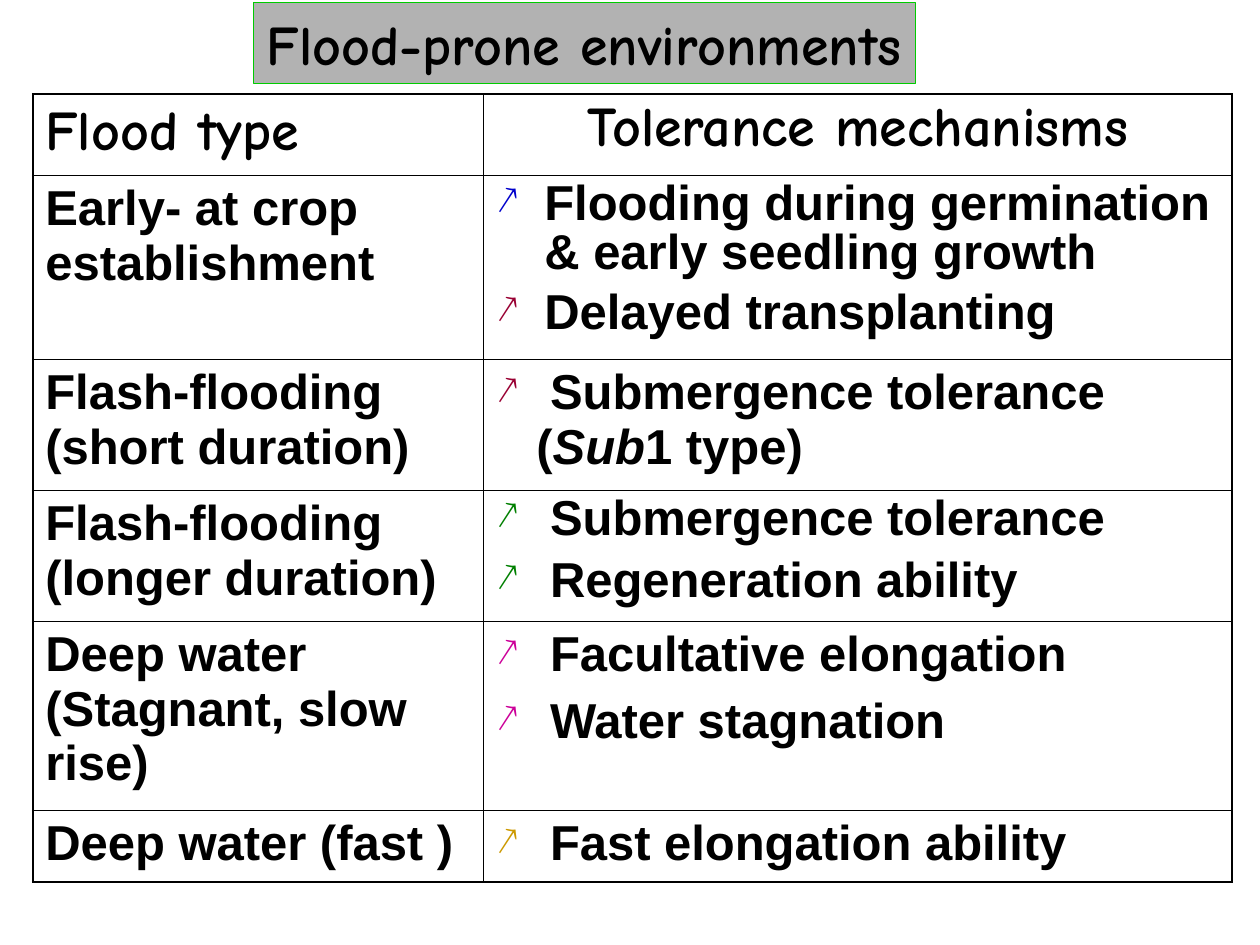
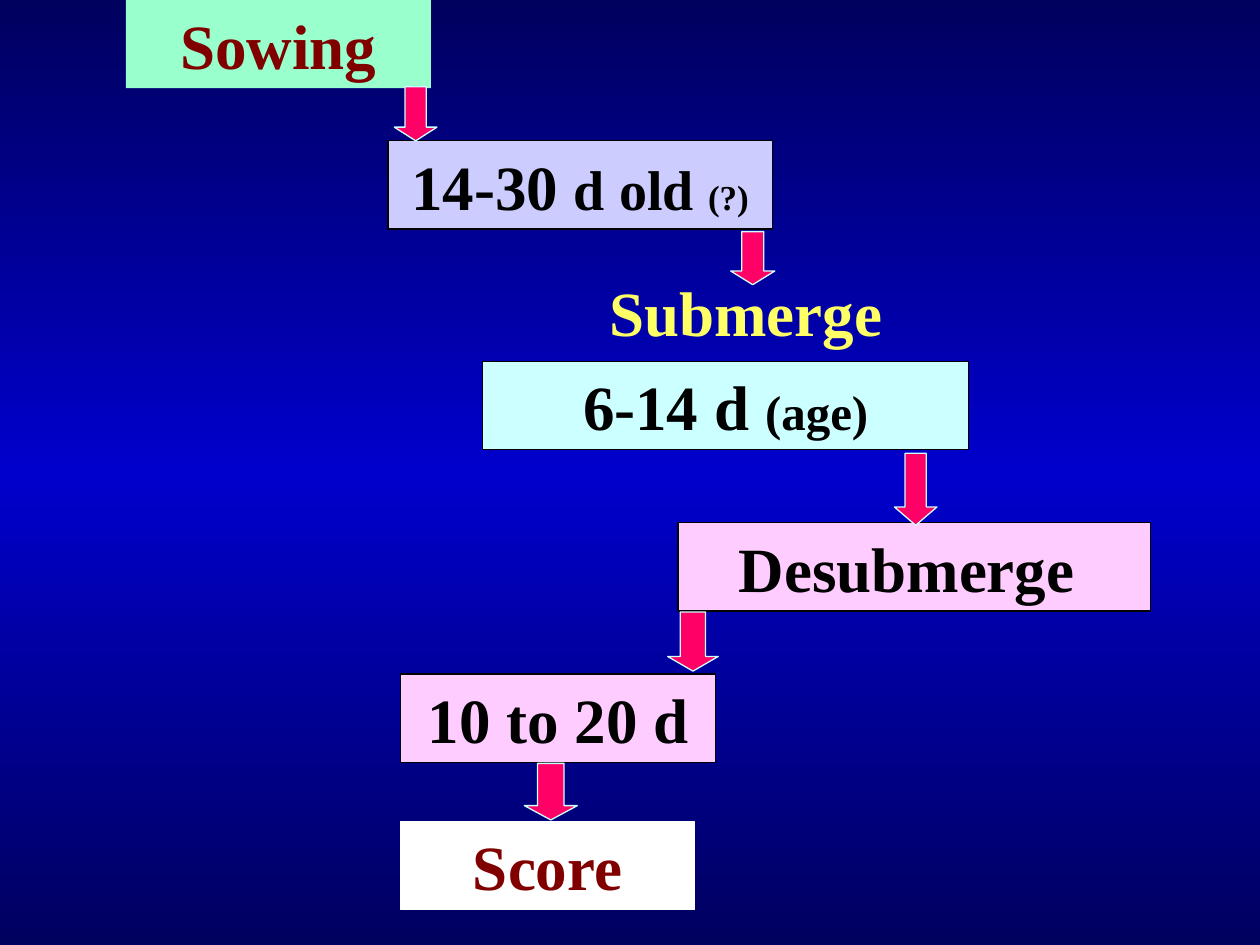
from copy import deepcopy
from dataclasses import dataclass

from lxml.etree import SubElement as Sub
from pptx import Presentation
from pptx.dml.color import RGBColor as RGB
from pptx.enum.shapes import MSO_SHAPE as SHAPE
from pptx.enum.text import MSO_ANCHOR as ANCHOR, MSO_AUTO_SIZE as AUTO, PP_ALIGN as ALIGN
from pptx.oxml.ns import qn
from pptx.util import Cm, Pt


@dataclass
class Theme:
    head: str = "Comic Neue"
    body: str = "Arial"
    flow: str = "Times New Roman"
    big: int = 36
    title: int = 32
    text: int = 28
    note: int = 20
    black: str = "000000"
    white: str = "FFFFFF"
    grey: str = "B2B2B2"
    green: str = "00CC00"
    maroon: str = "800000"
    yellow: str = "FFFF66"
    mint: str = "99FFCC"
    lilac: str = "CCCCFF"
    aqua: str = "CCFFFF"
    pink: str = "FFCCFF"
    arrow: str = "FF0066"
    navy: str = "00005E"
    blue: str = "0000CC"
    thin: float = 0.45
    line: float = 0.75
    thick: float = 1.08


T = Theme()


def write(par, parts, face, color=T.black):
    """Add bold runs; each part is (text, size) or (text, size, italic)."""
    for text, size, *slant in parts:
        run = par.add_run()
        run.text = text
        font = run.font
        font.name, font.size, font.bold = face, Pt(size), True
        font.color.rgb = RGB.from_string(color)
        if slant:
            font.italic = True


def paint(shape, fill, line):
    """Fill and outline a shape; None leaves that part out."""
    if fill:
        shape.fill.solid()
        shape.fill.fore_color.rgb = RGB.from_string(fill)
    if line:
        shape.line.color.rgb = RGB.from_string(line)
        shape.line.width = Pt(T.line)
    else:
        shape.line.fill.background()
    shape.shadow.inherit = False


prs = Presentation()
prs.slide_width, prs.slide_height = Cm(25.4), Cm(19.05)

# Slide 1: title
slide = prs.slides.add_slide(prs.slide_layouts[5])
title = slide.shapes.title
title.left, title.top, title.width, title.height = Cm(5.11), Cm(0.05), Cm(13.34), Cm(1.63)
paint(title, T.grey, T.green)
frame = title.text_frame
frame.auto_size, frame.word_wrap = AUTO.NONE, False
frame.vertical_anchor = ANCHOR.MIDDLE
write(frame.paragraphs[0], [("Flood-prone environments", T.title)], T.head)

# Slide 1: table rows as (flood type, height, bullets);
# a bullet is (parts, colour, indent, line spacing, space before)
size = T.text
floods = [
    ("Early- at crop establishment", 3.71, [
        ([("Flooding during germination & early seedling growth", size)], "0000CC", 0.97, 0.9, 0),
        ([("Delayed transplanting", size)], "990033", 0.97, 1.1, 0)]),
    ("Flash-flooding (short duration)", 2.64, [
        ([(" Submergence tolerance (", size), ("Sub", size, True), ("1 type)", size)],
         "990033", 0.81, 1.0, 0)]),
    ("Flash-flooding (longer duration)", 2.64, [
        ([(" Submergence tolerance", size)], "008000", 0.81, 0.9, 0),
        ([(" Regeneration ability", size)], "008000", 0.81, 0.9, 7)]),
    ("Deep water (Stagnant, slow rise)", 3.81, [
        ([(" Facultative elongation", size)], "CC0099", 0.81, 1.0, 0),
        ([(" Water stagnation", size)], "CC0099", 0.81, 1.0, 7)]),
    ("Deep water (fast )", 1.45, [
        ([(" Fast elongation ability", size)], "CC9900", 0.81, 1.0, 0)]),
]
rows = len(floods) + 1
table = slide.shapes.add_table(rows, 2, Cm(0.66), Cm(1.9), Cm(24.18), Cm(15.88)).table
table.first_row = table.horz_banding = False
table.columns[0].width, table.columns[1].width = Cm(9.09), Cm(15.09)

# Header row
table.rows[0].height = Cm(1.63)
write(table.cell(0, 0).text_frame.paragraphs[0], [("Flood type", T.title)], T.head)
par = table.cell(0, 1).text_frame.paragraphs[0]
par.alignment, par.line_spacing = ALIGN.CENTER, 0.9
write(par, [("Tolerance mechanisms", T.title)], T.head)

# Flood rows
for row, (kind, high, items) in enumerate(floods, 1):
    table.rows[row].height = Cm(high)
    write(table.cell(row, 0).text_frame.paragraphs[0], [(kind, size)], T.body)
    frame = table.cell(row, 1).text_frame
    for num, (parts, color, indent, lead, before) in enumerate(items):
        par = frame.add_paragraph() if num else frame.paragraphs[0]
        props = par._p.get_or_add_pPr()
        props.set("marL", str(Cm(indent)))
        props.set("indent", str(-Cm(indent)))
        Sub(Sub(props, qn("a:buClr")), qn("a:srgbClr"), val=color)
        Sub(props, qn("a:buSzPct"), val="80000")
        Sub(props, qn("a:buChar"), char="↗")
        par.line_spacing = lead
        if before:
            par.space_before = Pt(before)
        write(par, parts, T.body)

# Cell borders: thick round the outside, thin within
for row in range(rows):
    for col in range(2):
        cell = table.cell(row, col)
        props = cell._tc.get_or_add_tcPr()
        edges = [("L", col == 0), ("R", col == 1), ("T", row == 0), ("B", row == rows - 1)]
        for side, outer in edges:
            wide = Pt(T.thick if outer else T.thin)
            edge = Sub(props, qn(f"a:ln{side}"), w=str(wide))
            Sub(Sub(edge, qn("a:solidFill")), qn("a:srgbClr"), val=T.black)
        cell.fill.background()

# Slide 2: gradient background
slide = prs.slides.add_slide(prs.slide_layouts[6])
fill = slide.background.fill
fill.gradient()
fill.gradient_angle = 90
stops = next(slide.element.iter(qn("a:gsLst")))
stops.insert(1, deepcopy(stops[0]))
for stop, (place, color) in zip(fill.gradient_stops, [(0, T.navy), (0.5, T.blue), (1, T.navy)]):
    stop.position = place
    stop.color.rgb = RGB.from_string(color)

# Slide 2: steps as (left, top, width, fill, line, text colour, parts)
big = T.big
steps = [
    (2.54, 0, 6.15, T.mint, None, T.maroon, [("Sowing", big)]),
    (7.82, 2.84, 7.75, T.lilac, T.black, T.black,
     [("14-30 ", big), ("d old ", T.title), ("(?)", T.note)]),
    (11.15, 5.38, 7.77, None, None, T.yellow, [("Submerge", big)]),
    (9.73, 7.29, 9.8, T.aqua, T.black, T.black, [("6-14 d ", big), ("(age)", T.text)]),
    (13.67, 10.54, 9.53, T.pink, T.black, T.black, [("Desubmerge ", big)]),
    (8.08, 13.59, 6.35, T.pink, T.black, T.black, [("10 to 20 d", big)]),
    (8.08, 16.56, 5.92, T.white, T.white, T.maroon, [("Score", big)]),
]
for left, top, wide, back, line, color, parts in steps:
    spot = Cm(left), Cm(top), Cm(wide), Cm(1.78)
    if back:
        box = slide.shapes.add_shape(SHAPE.RECTANGLE, *spot)
        paint(box, back, line)
    else:
        box = slide.shapes.add_textbox(*spot)
    frame = box.text_frame
    frame.word_wrap, frame.vertical_anchor = True, ANCHOR.MIDDLE
    par = frame.paragraphs[0]
    par.alignment = ALIGN.CENTER
    write(par, parts, T.flow, color)

# Slide 2: arrows as (left, top, width, height, head)
arrows = [
    (7.95, 1.75, 0.86, 1.09, 0.32),
    (14.73, 4.67, 0.89, 1.07, 0.31),
    (18.03, 9.14, 0.86, 1.45, 0.43),
    (13.46, 12.34, 1.02, 1.19, 0.29),
    (10.57, 15.39, 1.07, 1.14, 0.27),
]
for *spot, head in arrows:
    arrow = slide.shapes.add_shape(SHAPE.DOWN_ARROW, *map(Cm, spot))
    arrow.adjustments[0], arrow.adjustments[1] = 0.5, head
    paint(arrow, T.arrow, T.aqua)

prs.save("out.pptx")
